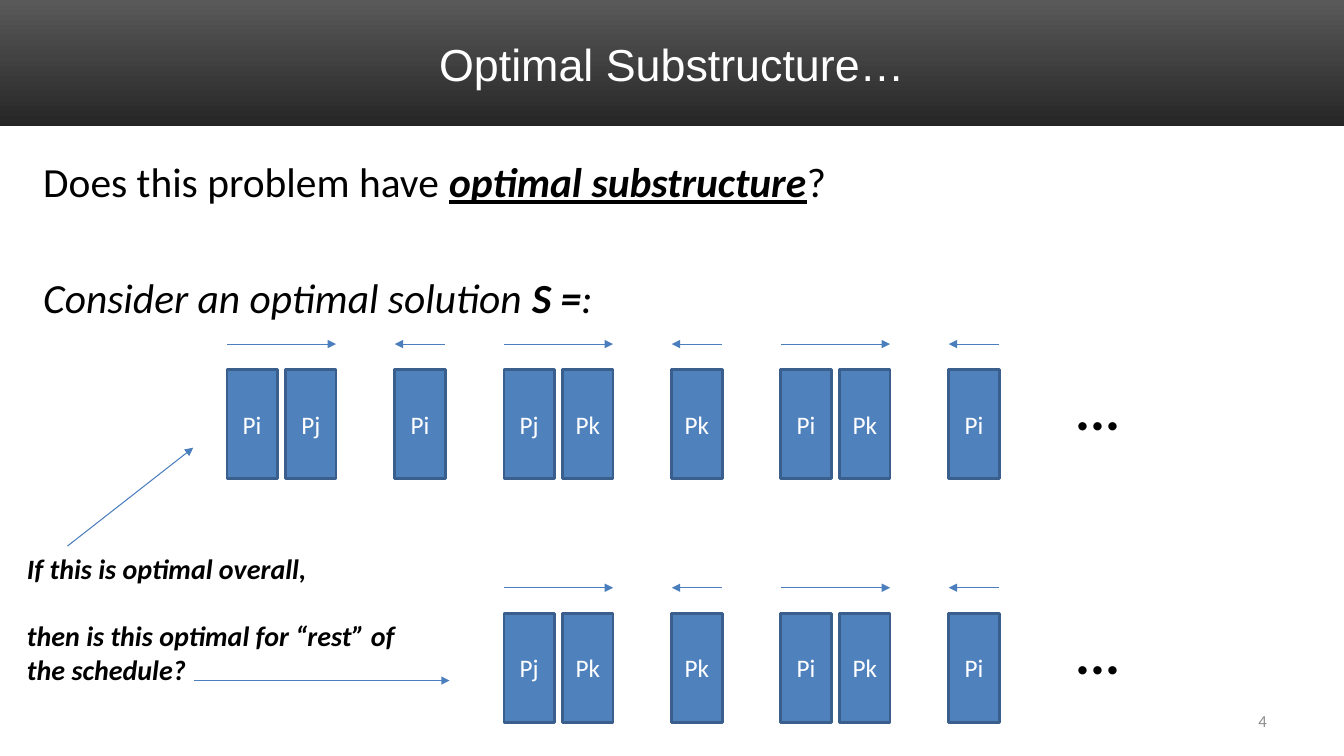
from lxml import etree
from pptx import Presentation
from pptx import util as u
from pptx.dml.color import RGBColor
from pptx.enum import shapes, text
from pptx.oxml.ns import qn

# Content: a run is (wording, styles), with b bold, i italic, u underlined
TITLE = [[("Optimal Substructure…", "")]]
QUESTION = [
    [("Does this problem have ", ""), ("optimal substructure", "biu"), ("?", "")],
    [("Consider an optimal solution ", "i"), ("S =", "bi"), (":", "i")],
]
NOTE = [
    [("If this is optimal overall,", "bi")],
    [("then is this optimal for “rest” of the schedule?", "bi")],
]
DOTS = [[("...", "bi")]]
PAGE_NUMBER = [[("4", "")]]

# Bridge crossings: pairs go over, single people come back
CROSSINGS = [["Pi", "Pj"], ["Pi"], ["Pj", "Pk"], ["Pk"], ["Pi", "Pk"], ["Pi"]]
SKIPPED = 2
ROW_TOPS = {0: 9.31, SKIPPED: 15.45}  # first crossing shown: top in cm
NOTE_ARROWS = [(1.7, 13.76, 4.87, 11.28), (4.9, 17.15, 11.33, 17.15)]

COLORS = {
    "band top": "595959", "band bottom": "262626", "white": "FFFFFF",
    "black": "000000", "gray": "8C8C8C",
    "person": "4F81BD", "border": "3A5F8C", "arrow": "4B7EBC",
}

# Measures in cm
SLIDE_WIDTH, SLIDE_HEIGHT = 33.87, 19.05
ROW_LEFT = 5.72
PERSON_WIDTH, PERSON_HEIGHT, PERSON_GAP = 1.27, 2.75, 0.21
CROSSING_GAP = 1.48
ARROW_RISE = 0.64
DOTS_LEFT = 26.88


def color(name):
    return RGBColor.from_string(COLORS[name])


def write(frame, paragraphs, size, color_name, font="Calibri",
          align=text.PP_ALIGN.LEFT, anchor=text.MSO_ANCHOR.TOP, space=0):
    frame.word_wrap = True
    frame.vertical_anchor = anchor
    for index, runs in enumerate(paragraphs):
        paragraph = frame.add_paragraph() if index else frame.paragraphs[0]
        paragraph.alignment = align
        if index:
            paragraph.space_before = u.Pt(space)
        for wording, styles in runs:
            run = paragraph.add_run()
            run.text = wording
            run.font.name = font
            run.font.size = u.Pt(size)
            run.font.color.rgb = color(color_name)
            run.font.bold = "b" in styles
            run.font.italic = "i" in styles
            run.font.underline = "u" in styles


def add_text(slide, box, paragraphs, size, color_name, **options):
    shape = slide.shapes.add_textbox(*map(u.Cm, box))
    write(shape.text_frame, paragraphs, size, color_name, **options)


def add_arrow(slide, *ends):
    arrow = slide.shapes.add_connector(shapes.MSO_CONNECTOR.STRAIGHT, *map(u.Cm, ends))
    arrow.line.color.rgb = color("arrow")
    arrow.line.width = u.Pt(0.75)
    line = arrow.line._get_or_add_ln()
    etree.SubElement(line, qn("a:tailEnd"), type="triangle")
    etree.SubElement(arrow._element.spPr, qn("a:effectLst"))


def add_person(slide, left, top, name):
    shape = slide.shapes.add_shape(
        shapes.MSO_SHAPE.RECTANGLE,
        *map(u.Cm, (left, top, PERSON_WIDTH, PERSON_HEIGHT)))
    shape.shadow.inherit = False
    shape.fill.solid()
    shape.fill.fore_color.rgb = color("person")
    shape.line.color.rgb = color("border")
    shape.line.width = u.Pt(2)
    shape.text_frame.margin_left = shape.text_frame.margin_right = 0
    write(shape.text_frame, [[(name, "")]], 18, "white",
          align=text.PP_ALIGN.CENTER, anchor=text.MSO_ANCHOR.MIDDLE)


def add_schedule(slide, first, top):
    left = ROW_LEFT
    for index, people in enumerate(CROSSINGS):
        width = len(people) * (PERSON_WIDTH + PERSON_GAP) - PERSON_GAP
        if index >= first:
            for place, name in enumerate(people):
                add_person(slide, left + place * (PERSON_WIDTH + PERSON_GAP), top, name)
            start, end = left, left + width
            if len(people) == 1:
                start, end = end, start
            add_arrow(slide, start, top - ARROW_RISE, end, top - ARROW_RISE)
        left += width + CROSSING_GAP
    add_text(slide, (DOTS_LEFT, top, 6.55, 1.96), DOTS, 40, "black")


def add_band(slide):
    band = slide.shapes.add_shape(
        shapes.MSO_SHAPE.RECTANGLE, 0, 0, u.Cm(SLIDE_WIDTH), u.Cm(3.18))
    band.shadow.inherit = False
    band.line.fill.background()
    band.fill.gradient()
    band.fill.gradient_angle = 270
    for stop, position, name in zip(band.fill.gradient_stops, (0, 1),
                                    ("band top", "band bottom")):
        stop.position = position
        stop.color.rgb = color(name)


def main():
    presentation = Presentation()
    presentation.slide_width = u.Cm(SLIDE_WIDTH)
    presentation.slide_height = u.Cm(SLIDE_HEIGHT)
    slide = presentation.slides.add_slide(presentation.slide_layouts[6])

    # Heading and question
    add_band(slide)
    add_text(slide, (1.7, 0.43, 30.48, 2.34), TITLE, 32, "white", font="Arial",
             align=text.PP_ALIGN.CENTER, anchor=text.MSO_ANCHOR.MIDDLE)
    add_text(slide, (0.84, 3.81, 31.95, 4.01), QUESTION, 29.6, "black", space=47)
    add_text(slide, (24.28, 17.65, 7.9, 1.02), PAGE_NUMBER, 12, "gray",
             align=text.PP_ALIGN.RIGHT, anchor=text.MSO_ANCHOR.MIDDLE)

    # Whole schedule, then the rest of it
    for first, top in ROW_TOPS.items():
        add_schedule(slide, first, top)

    # Note with arrows to both schedules
    add_text(slide, (0.43, 13.76, 10.69, 3.68), NOTE, 20, "black", space=24.4)
    for ends in NOTE_ARROWS:
        add_arrow(slide, *ends)

    presentation.save("out.pptx")


if __name__ == "__main__":
    main()
